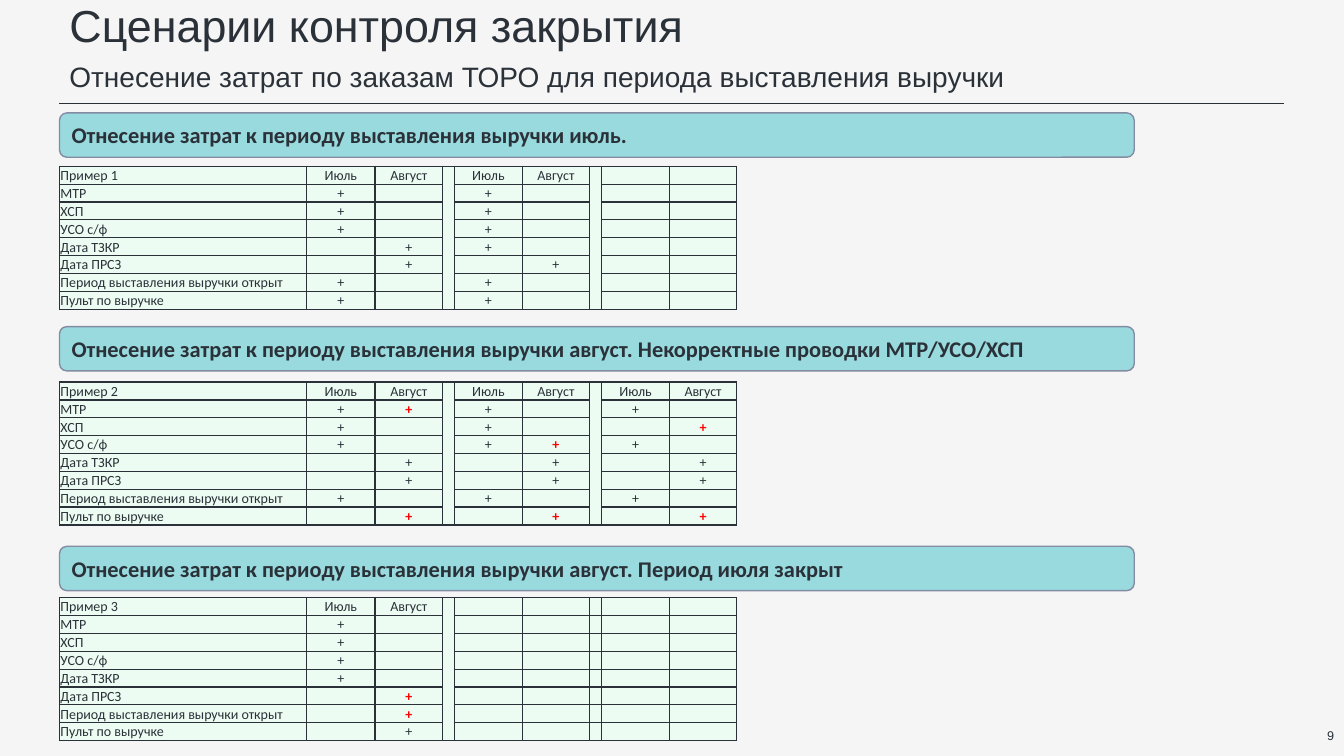
"""Build the slide on closing control scenarios with three example tables."""
from lxml import etree
from pptx import Presentation
from pptx.dml.color import RGBColor
from pptx.enum.shapes import MSO_CONNECTOR, MSO_SHAPE
from pptx.enum.text import MSO_ANCHOR, MSO_AUTO_SIZE, PP_ALIGN
from pptx.oxml import parse_xml
from pptx.oxml.ns import nsdecls, qn
from pptx.util import Inches, Pt

INK = "2A3138"
RED = "FF0000"
LEFT = Inches(0.59)


def color(value):
    return RGBColor.from_string(value)


def add_run(paragraph, text, size, font_name, bold=False, ink=INK):
    run = paragraph.add_run()
    run.text = text
    run.font.size = Pt(size)
    run.font.name = font_name
    run.font.bold = bold
    run.font.color.rgb = color(ink)


presentation = Presentation()
presentation.slide_width = Inches(13.33)
presentation.slide_height = Inches(7.5)
slide = presentation.slides.add_slide(presentation.slide_layouts[6])
slide.background.fill.solid()
slide.background.fill.fore_color.rgb = color("F5F5F5")

rule = slide.shapes.add_connector(
    MSO_CONNECTOR.STRAIGHT, LEFT, Inches(1.02), Inches(12.74), Inches(1.02))
rule.line.color.rgb = color("293136")
rule.line.width = Pt(0.2)
etree.SubElement(rule.element.spPr, qn("a:effectLst"))

title = slide.shapes.add_textbox(LEFT, Inches(-0.01), Inches(12.15), Inches(0.6))
title.text_frame.word_wrap = True
title.text_frame.paragraphs[0].line_spacing = 0.9
add_run(title.text_frame.paragraphs[0], "Сценарии контроля закрытия", 32, "Arial")

subtitle = slide.shapes.add_textbox(LEFT, Inches(0.54), Inches(9.54), Inches(0.44))
subtitle.text_frame.word_wrap = False
subtitle.text_frame.auto_size = MSO_AUTO_SIZE.SHAPE_TO_FIT_TEXT
add_run(subtitle.text_frame.paragraphs[0],
        "Отнесение затрат по заказам ТОРО для периода выставления выручки", 20, "Arial")

page_number = slide.shapes.add_textbox(Inches(12.59), Inches(7.1), Inches(0.74), Inches(0.4))
page_number.text_frame.word_wrap = True
page_number.text_frame.vertical_anchor = MSO_ANCHOR.MIDDLE
page_number.text_frame.paragraphs[0].alignment = PP_ALIGN.RIGHT
add_run(page_number.text_frame.paragraphs[0], "9", 9, "Arial")

row_labels = ["МТР", "ХСП", "УСО с/ф", "Дата ТЗКР", "Дата ПРСЗ",
              "Период выставления выручки открыт", "Пульт по выручке"]
column_widths = [2.45, 0.68, 0.67, 0.12, 0.67, 0.67, 0.12, 0.67, 0.67]
month_columns = [(1, 2), (4, 5), (7, 8)]

# Marks per row, one pair of months per group: "+" plain, "!" red, "." empty
scenarios = [
    ("Отнесение затрат к периоду выставления выручки июль.",
     1.12, 1.65, 2, (3, 6),
     ["+. +.", "+. +.", "+. +.", ".+ +.", ".+ .+", "+. +.", "+. +."]),
    ("Отнесение затрат к периоду выставления выручки август. "
     "Некорректные проводки МТР/УСО/ХСП",
     3.24, 3.79, 3, (3, 6),
     ["+! +. +.", "+. +. .!", "+. +! +.", ".+ .+ .+", ".+ .+ .+", "+. +. +.", ".! .! .!"]),
    ("Отнесение затрат к периоду выставления выручки август. Период июля закрыт",
     5.42, 5.93, 1, (3,),
     ["+.", "+.", "+.", "+.", ".!", ".!", ".+"]),
]

for number, (heading, banner_top, table_top, groups, gaps, marks) in enumerate(scenarios, 1):
    banner = slide.shapes.add_shape(
        MSO_SHAPE.ROUNDED_RECTANGLE, LEFT, Inches(banner_top), Inches(10.66), Inches(0.44))
    banner.shadow.inherit = False
    banner.fill.solid()
    banner.fill.fore_color.rgb = color("98DADE")
    banner.line.color.rgb = color("848CA3")
    banner.line.width = Pt(1)
    banner.text_frame.vertical_anchor = MSO_ANCHOR.MIDDLE
    banner.text_frame.paragraphs[0].alignment = PP_ALIGN.LEFT
    add_run(banner.text_frame.paragraphs[0], heading, 16, "Calibri", bold=True)

    table = slide.shapes.add_table(
        8, 9, LEFT, Inches(table_top), Inches(6.71), Inches(1.42)).table
    table.first_row = False
    table.horz_banding = False
    for column, width in zip(table.columns, column_widths):
        column.width = Inches(width)
    for gap in gaps:
        table.cell(0, gap).merge(table.cell(7, gap))

    texts = {(0, 0): f"Пример {number}"}
    for first, second in month_columns[:groups]:
        texts[0, first], texts[0, second] = "Июль", "Август"
    for row, (label, row_marks) in enumerate(zip(row_labels, marks), 1):
        texts[row, 0] = label
        for columns, pair in zip(month_columns, row_marks.split()):
            for column, mark in zip(columns, pair):
                texts[row, column] = mark

    for row in range(8):
        for column in range(9):
            cell = table.cell(row, column)
            cell.margin_left = cell.margin_right = cell.margin_top = Inches(0.01)
            cell.margin_bottom = 0
            cell.fill.solid()
            cell.fill.fore_color.rgb = color("ECFCF2")
            paragraph = cell.text_frame.paragraphs[0]
            paragraph.alignment = PP_ALIGN.CENTER if column else PP_ALIGN.LEFT
            text = texts.get((row, column), ".")
            if text == ".":
                etree.SubElement(paragraph._p, qn("a:endParaRPr"), sz="1000")
            elif text == "!":
                add_run(paragraph, "+", 10, "Calibri", bold=True, ink=RED)
            else:
                add_run(paragraph, text, 10, "Calibri")
            if cell.is_spanned:
                continue
            properties = cell._tc.get_or_add_tcPr()
            for position, side in enumerate(("lnL", "lnR", "lnT", "lnB")):
                properties.insert(position, parse_xml(
                    f'<a:{side} {nsdecls("a")} w="{Pt(1)}"><a:solidFill>'
                    f'<a:srgbClr val="{INK}"/></a:solidFill></a:{side}>'))

presentation.save("out.pptx")
